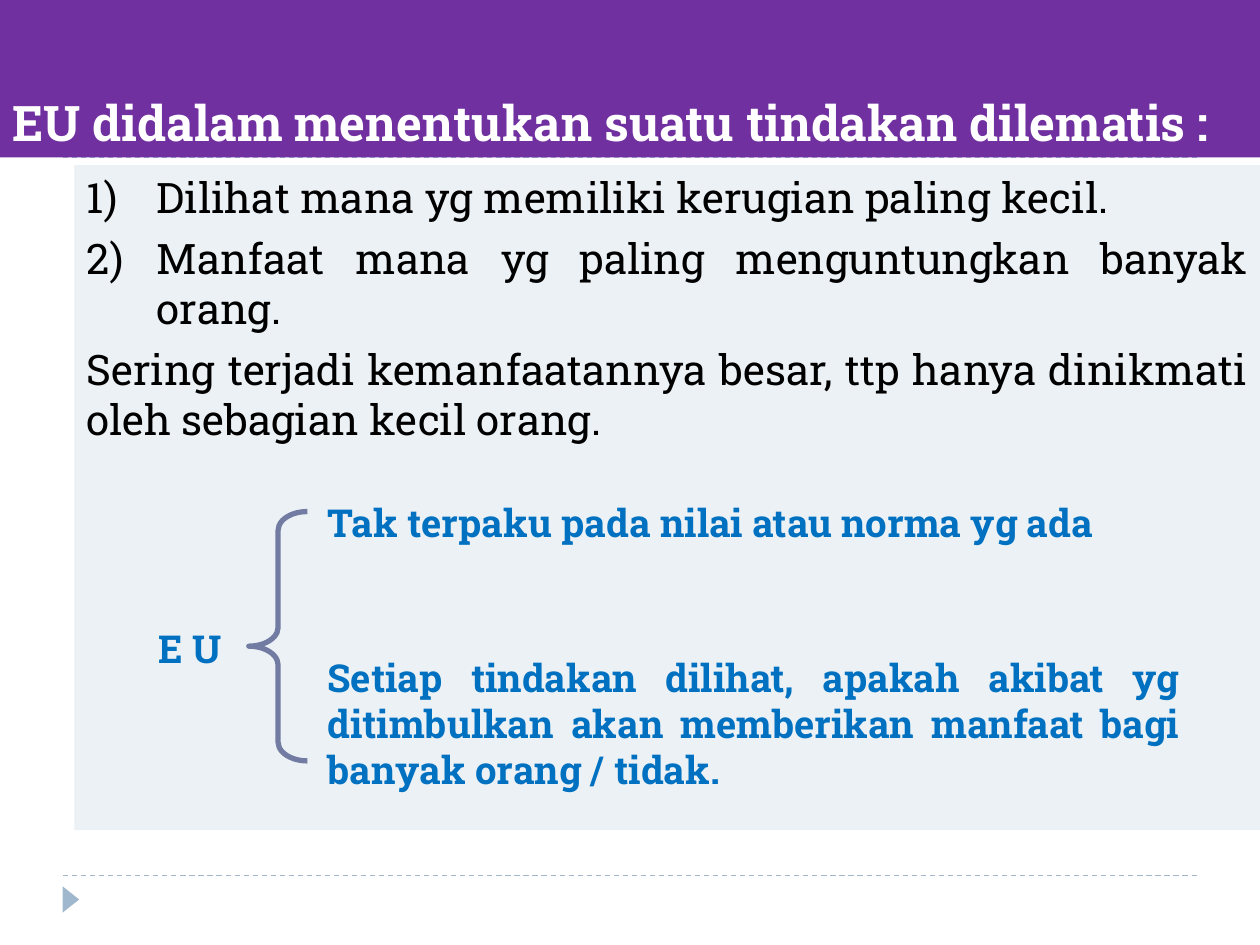
from lxml import etree
from pptx import Presentation
from pptx.dml.color import RGBColor
from pptx.enum.dml import MSO_LINE
from pptx.enum.shapes import MSO_CONNECTOR, MSO_SHAPE
from pptx.enum.text import MSO_ANCHOR, MSO_AUTO_SIZE, PP_ALIGN
from pptx.oxml.ns import qn
from pptx.util import Pt

DASH = MSO_LINE.DASH
STRAIGHT = MSO_CONNECTOR.STRAIGHT
TRIANGLE, BRACE, SNIPPED = MSO_SHAPE.ISOSCELES_TRIANGLE, MSO_SHAPE.LEFT_BRACE, MSO_SHAPE.SNIP_1_RECTANGLE
TOP, MIDDLE, BOTTOM = MSO_ANCHOR.TOP, MSO_ANCHOR.MIDDLE, MSO_ANCHOR.BOTTOM
LEFT, CENTER, JUSTIFY = PP_ALIGN.LEFT, PP_ALIGN.CENTER, PP_ALIGN.JUSTIFY
NO_AUTOFIT = MSO_AUTO_SIZE.NONE


def color(hex_value):
    return RGBColor.from_string(hex_value)


class SlideBuilder:
    FONT = "Roboto Slab"
    PURPLE, PANEL, ACCENT = "7030A0", "ECF1F5", "9FB8CD"
    WHITE, BLACK, BLUE, BRACE_LINE = "FFFFFF", "000000", "0070C0", "727CA3"
    HANGING = 40

    def __init__(self, slide):
        self.slide = slide
        self.shapes = slide.shapes

    def dashed_rule(self, y):
        rule = self.shapes.add_connector(STRAIGHT, Pt(36), Pt(y), Pt(684), Pt(y))
        rule.line.color.rgb = color(self.ACCENT)
        rule.line.width = Pt(0.75)
        rule.line.dash_style = DASH
        etree.SubElement(rule._element.spPr, qn("a:effectLst"))

    def preset(self, kind, box, fill=None, line=None, adjustments=()):
        shape = self.shapes.add_shape(kind, *map(Pt, box))
        shape.shadow.inherit = False
        if fill:
            shape.fill.solid()
            shape.fill.fore_color.rgb = color(fill)
        else:
            shape.fill.background()
        if line:
            shape.line.color.rgb = color(line)
            shape.line.width = Pt(3)
        else:
            shape.line.fill.background()
        for index, value in enumerate(adjustments):
            shape.adjustments[index] = value
        return shape

    def placeholder(self, index, box, fill, anchor):
        """Move and fill a template placeholder, in front of what is drawn so far."""
        holder = self.slide.placeholders[index]
        holder.left, holder.top, holder.width, holder.height = map(Pt, box)
        holder.fill.solid()
        holder.fill.fore_color.rgb = color(fill)
        holder.text_frame.auto_size = NO_AUTOFIT
        holder.text_frame.vertical_anchor = anchor
        self.shapes._spTree.append(holder._element)
        return holder.text_frame

    def style(self, paragraph, size, hex_value, bold=False, align=LEFT):
        paragraph.alignment = align
        font = paragraph.font
        font.name, font.size, font.bold = self.FONT, Pt(size), bold
        font.color.rgb = color(hex_value)

    def title(self, text, box):
        frame = self.placeholder(0, box, self.PURPLE, BOTTOM)
        frame.text = text
        self.style(frame.paragraphs[0], 28, self.WHITE, bold=True)

    def body(self, numbered, closing, box):
        frame = self.placeholder(1, box, self.PANEL, TOP)
        frame.text = "\n".join([*numbered, closing])
        for position, paragraph in enumerate(frame.paragraphs):
            self.style(paragraph, 24, self.BLACK, align=JUSTIFY)
            paragraph.space_before = Pt(6)
            self.number(paragraph, position < len(numbered))

    def number(self, paragraph, is_numbered):
        """Give a paragraph a hanging "1)" number, or clear its bullet."""
        properties = paragraph._p.get_or_add_pPr()
        indent = Pt(self.HANGING) if is_numbered else 0
        properties.set("marL", str(indent))
        properties.set("indent", str(-indent))
        tag = "a:buAutoNum" if is_numbered else "a:buNone"
        bullet = etree.Element(qn(tag))
        if is_numbered:
            bullet.set("type", "arabicParenR")
        properties.find(qn("a:spcBef")).addnext(bullet)

    def label(self, text, box, align=LEFT, adjustments=(0,)):
        frame = self.preset(SNIPPED, box, adjustments=adjustments).text_frame
        frame.word_wrap = True
        frame.vertical_anchor = MIDDLE
        frame.text = text
        self.style(frame.paragraphs[0], 22, self.BLUE, bold=True, align=align)


def main():
    presentation = Presentation()
    presentation.slide_width, presentation.slide_height = Pt(720), Pt(540)
    layout = presentation.slide_layouts[1]
    builder = SlideBuilder(presentation.slides.add_slide(layout))

    for y in (500.4, 90):
        builder.dashed_rule(y)
    marker = builder.preset(TRIANGLE, (33, 509.3, 15, 9.4), fill=builder.ACCENT)
    marker.rotation = 90

    builder.title("EU didalam menentukan suatu tindakan dilematis :", (0, 0, 720, 90))
    builder.body(
        ["Dilihat mana yg memiliki kerugian paling kecil.",
         "Manfaat mana yg paling menguntungkan banyak orang."],
        "Sering terjadi kemanfaatannya besar, ttp hanya dinikmati oleh sebagian kecil orang.",
        (42.5, 94.3, 677.5, 380))

    builder.label("E U", (56, 330, 111, 74), CENTER, adjustments=())
    builder.label("Tak terpaku pada nilai atau norma yg ada", (180, 264.5, 512, 68))
    builder.label("Setiap tindakan dilihat, apakah akibat yg ditimbulkan akan "
                  "memberikan manfaat bagi banyak orang / tidak.",
                  (180, 376.5, 501, 73.5), JUSTIFY)
    builder.preset(BRACE, (142.2, 292.3, 33.5, 142.5), line=builder.BRACE_LINE,
                   adjustments=(0.32, 0.54))

    presentation.save("out.pptx")


if __name__ == "__main__":
    main()
